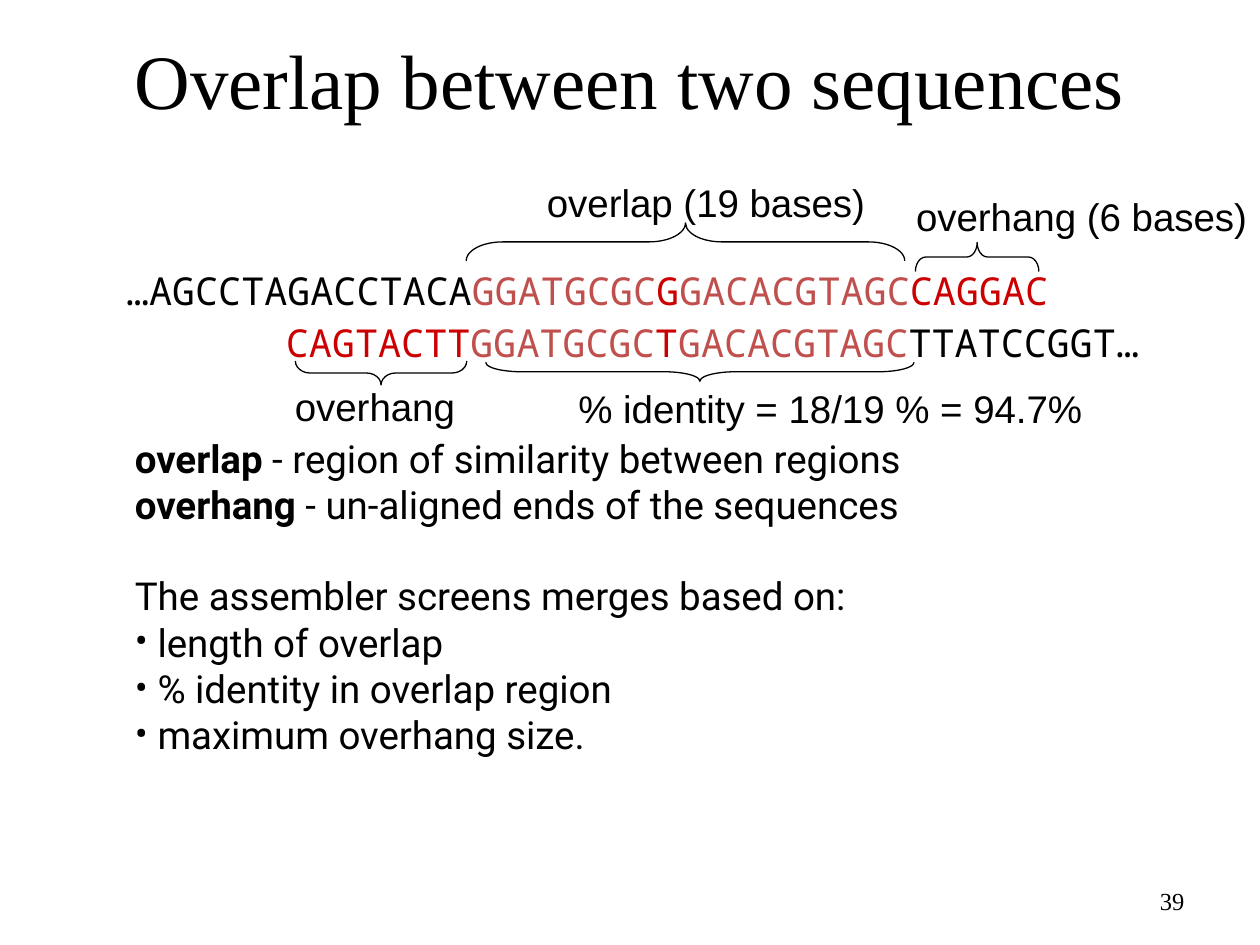
from dataclasses import dataclass

from pptx import Presentation
from pptx.dml.color import RGBColor
from pptx.enum.shapes import MSO_SHAPE
from pptx.enum.text import MSO_ANCHOR, MSO_AUTO_SIZE, PP_ALIGN
from pptx.oxml.xmlchemy import OxmlElement
from pptx.util import Inches, Pt


@dataclass(frozen=True)
class Theme:
    ink: RGBColor = RGBColor(0, 0, 0)
    shared: RGBColor = RGBColor(0xC0, 0x50, 0x4D)
    accent: RGBColor = RGBColor(0xCC, 0, 0)
    serif: str = "Times New Roman"
    mono: str = "Noto Sans Mono"
    label: str = "Arial"
    body: str = "Roboto"
    title_size: int = 44
    text_size: int = 22
    number_size: int = 14
    line_width: float = 0.75


class SlideBuilder:
    def __init__(self, deck, theme):
        self.theme = theme
        self.slide = deck.slides.add_slide(deck.slide_layouts[5])

    def set_font(self, paragraph, name, size):
        paragraph.font.name = name
        paragraph.font.size = Pt(size)
        paragraph.font.color.rgb = self.theme.ink

    def add_title(self, text):
        title = self.slide.shapes.title
        title.left, title.top = Inches(0.75), Inches(0)
        title.width, title.height = Inches(8.5), Inches(1.25)
        frame = title.text_frame
        frame.text = text
        frame.auto_size = MSO_AUTO_SIZE.NONE
        frame.vertical_anchor = MSO_ANCHOR.MIDDLE
        paragraph = frame.paragraphs[0]
        paragraph.alignment = PP_ALIGN.CENTER
        self.set_font(paragraph, self.theme.serif, self.theme.title_size)

    def add_frame(self, left, top, width, height):
        box = self.slide.shapes.add_textbox(
            Inches(left), Inches(top), Inches(width), Inches(height))
        frame = box.text_frame
        frame.word_wrap = False
        frame.auto_size = MSO_AUTO_SIZE.SHAPE_TO_FIT_TEXT
        frame.margin_left = frame.margin_right = Inches(0.09)
        frame.margin_top = frame.margin_bottom = Inches(0.05)
        return frame

    def add_label(self, text, left, top, width):
        frame = self.add_frame(left, top, width, 0.46)
        frame.text = text
        self.set_font(frame.paragraphs[0], self.theme.label, self.theme.text_size)

    def add_sequence(self, parts, left, top, width):
        paragraph = self.add_frame(left, top, width, 0.46).paragraphs[0]
        self.set_font(paragraph, self.theme.mono, self.theme.text_size)
        for bases, color in parts:
            span = paragraph.add_run()
            span.text = bases
            span.font.color.rgb = color

    def add_brace(self, left, top, width, height, rotation, curve):
        brace = self.slide.shapes.add_shape(
            MSO_SHAPE.LEFT_BRACE,
            Inches(left), Inches(top), Inches(width), Inches(height))
        brace.rotation = rotation
        brace.adjustments[0] = curve
        brace.shadow.inherit = False
        brace.fill.background()
        brace.line.color.rgb = self.theme.ink
        brace.line.width = Pt(self.theme.line_width)

    def add_bullet(self, paragraph):
        properties = paragraph._p.get_or_add_pPr()
        properties.set("marL", str(Inches(0.18)))
        properties.set("indent", str(-Inches(0.18)))
        typeface = OxmlElement("a:buFont")
        typeface.set("typeface", self.theme.body)
        bullet = OxmlElement("a:buChar")
        bullet.set("char", "•")
        properties.extend([typeface, bullet])

    def add_explanation(self, definitions, lead, criteria):
        frame = self.add_frame(0.98, 3.4, 6.41, 2.65)
        lines = [*definitions, ("", lead), *(("", item) for item in criteria)]
        for index, (term, text) in enumerate(lines):
            paragraph = frame.add_paragraph() if index else frame.paragraphs[0]
            if text in criteria:
                self.add_bullet(paragraph)
            if text == lead:
                paragraph.space_before = Pt(26)
            self.set_font(paragraph, self.theme.body, self.theme.text_size)
            if term:
                span = paragraph.add_run()
                span.text = term
                span.font.bold = True
            paragraph.add_run().text = text

    def add_number(self, text):
        frame = self.add_frame(7.17, 6.95, 2.33, 0.4)
        frame.word_wrap = True
        frame.auto_size = MSO_AUTO_SIZE.NONE
        frame.margin_left = frame.margin_right = Inches(0.1)
        frame.vertical_anchor = MSO_ANCHOR.MIDDLE
        frame.text = text
        paragraph = frame.paragraphs[0]
        paragraph.alignment = PP_ALIGN.RIGHT
        self.set_font(paragraph, self.theme.serif, self.theme.number_size)


def main():
    deck = Presentation()
    deck.slide_width, deck.slide_height = Inches(10), Inches(7.5)
    theme = Theme()
    page = SlideBuilder(deck, theme)

    page.add_number("39")
    page.add_title("Overlap between two sequences")

    def overlap(base):
        return [("GGATGCGC", theme.shared), (base, theme.accent),
                ("GACACGTAGC", theme.shared)]

    page.add_sequence(
        [("…AGCCTAGACCTACA", theme.ink), *overlap("G"), ("CAGGAC", theme.accent)],
        0.91, 2.07, 7.51)
    page.add_sequence(
        [("CAGTACTT", theme.accent), *overlap("T"), ("TTATCCGGT…", theme.ink)],
        2.18, 2.48, 6.97)

    for brace in [
        (5.29, 0.18, 0.3, 3.48, 90, 0.96),
        (7.64, 1.55, 0.23, 0.98, 90, 0.36),
        (2.93, 2.28, 0.19, 1.36, 270, 0.61),
        (5.48, 1.25, 0.15, 3.4, 270, 1.88),
    ]:
        page.add_brace(*brace)

    for label in [
        ("overlap (19 bases)", 4.25, 1.37, 2.71),
        ("overhang (6 bases)", 7.18, 1.48, 2.81),
        ("overhang", 2.25, 2.99, 1.5),
        ("% identity = 18/19 % = 94.7%", 4.5, 3.01, 4.19),
    ]:
        page.add_label(*label)

    page.add_explanation(
        [("overlap", " - region of similarity between regions"),
         ("overhang", " - un-aligned ends of the sequences")],
        "The assembler screens merges based on:",
        ["length of overlap", "% identity in overlap region",
         "maximum overhang size."])

    deck.save("out.pptx")


if __name__ == "__main__":
    main()
